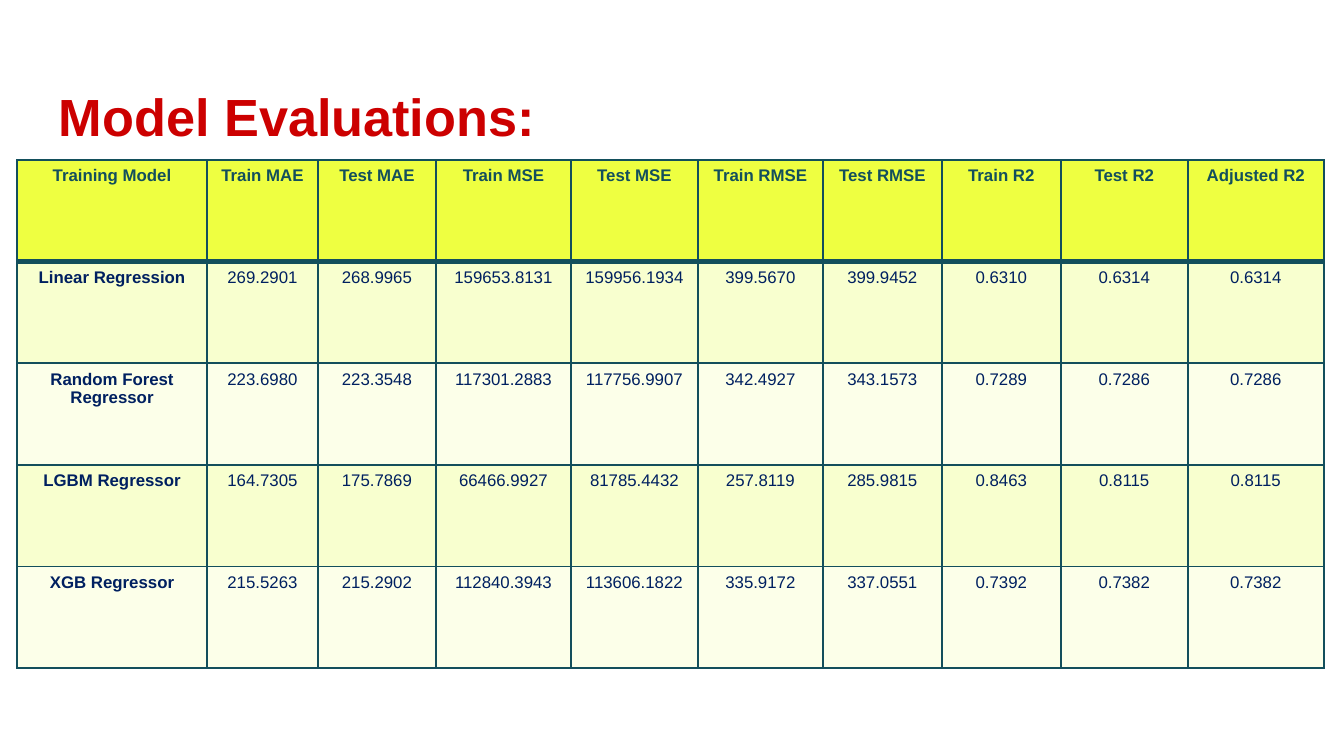
import pptx
import pptx.util
import pptx.dml.color
import pptx.enum.text
import pptx.oxml
import pptx.oxml.ns
import lxml.etree

PIXEL = 914400 / 134.4
RGBColor = pptx.dml.color.RGBColor
RED = RGBColor(0xCC, 0x00, 0x00)
TEAL = RGBColor(0x13, 0x4F, 0x5C)
NAVY = RGBColor(0x00, 0x20, 0x60)
YELLOW = RGBColor(0xEE, 0xFF, 0x41)
BANDS = [RGBColor(0xFC, 0xFF, 0xE9), RGBColor(0xF8, 0xFF, 0xCF)]

COLUMN_WIDTHS = [190, 111, 118, 135, 127, 125, 119, 119, 127, 136]
TABLE_HEIGHT = 508
ROWS = [
    ["Training Model", "Train MAE", "Test MAE", "Train MSE", "Test MSE",
     "Train RMSE", "Test RMSE", "Train R2", "Test R2", "Adjusted R2"],
    ["Linear Regression", "269.2901", "268.9965", "159653.8131", "159956.1934",
     "399.5670", "399.9452", "0.6310", "0.6314", "0.6314"],
    ["Random Forest Regressor", "223.6980", "223.3548", "117301.2883", "117756.9907",
     "342.4927", "343.1573", "0.7289", "0.7286", "0.7286"],
    ["LGBM Regressor", "164.7305", "175.7869", "66466.9927", "81785.4432",
     "257.8119", "285.9815", "0.8463", "0.8115", "0.8115"],
    ["XGB Regressor", "215.5263", "215.2902", "112840.3943", "113606.1822",
     "335.9172", "337.0551", "0.7392", "0.7382", "0.7382"],
]


def px(pixels):
    return pptx.util.Emu(round(pixels * PIXEL))


def write_text(frame, text, size, color, bold=False, align=pptx.enum.text.PP_ALIGN.LEFT):
    frame.word_wrap = True
    paragraph = frame.paragraphs[0]
    paragraph.alignment = align
    run = paragraph.add_run()
    run.text = text
    run.font.name = "Arial"
    run.font.size = pptx.util.Pt(size)
    run.font.bold = bold
    run.font.color.rgb = color


presentation = pptx.Presentation()
presentation.slide_width = px(1344)
presentation.slide_height = px(756)
slide = presentation.slides.add_slide(presentation.slide_layouts[6])

title = slide.shapes.add_textbox(px(46), px(66), px(1252), px(85))
title.text_frame.margin_left = title.text_frame.margin_right = px(13)
title.text_frame.margin_top = px(18)
title.text_frame.margin_bottom = 0
write_text(title.text_frame, "Model Evaluations:", size=28, color=RED, bold=True)

table = slide.shapes.add_table(
    len(ROWS), len(COLUMN_WIDTHS), px(17), px(160), px(sum(COLUMN_WIDTHS)), px(TABLE_HEIGHT)
).table
for column, width in zip(table.columns, COLUMN_WIDTHS):
    column.width = px(width)

for row_index, values in enumerate(ROWS):
    table.rows[row_index].height = px(TABLE_HEIGHT / len(ROWS))
    header = row_index == 0
    for column_index, value in enumerate(values):
        cell = table.cell(row_index, column_index)
        cell.margin_left = cell.margin_right = px(10)
        write_text(
            cell.text_frame, value, size=9, color=TEAL if header else NAVY,
            bold=header or column_index == 0, align=pptx.enum.text.PP_ALIGN.CENTER,
        )
        properties = cell._tc.get_or_add_tcPr()
        for side in ("lnL", "lnR", "lnT", "lnB"):
            thick = (row_index, side) in ((0, "lnB"), (1, "lnT"))
            line = lxml.etree.SubElement(
                properties, pptx.oxml.ns.qn("a:" + side), w=str(pptx.util.Pt(3 if thick else 1))
            )
            solid = lxml.etree.SubElement(line, pptx.oxml.ns.qn("a:solidFill"))
            lxml.etree.SubElement(solid, pptx.oxml.ns.qn("a:srgbClr"), val=str(TEAL))
        cell.fill.solid()
        cell.fill.fore_color.rgb = YELLOW if header else BANDS[row_index % 2]

presentation.save("out.pptx")
